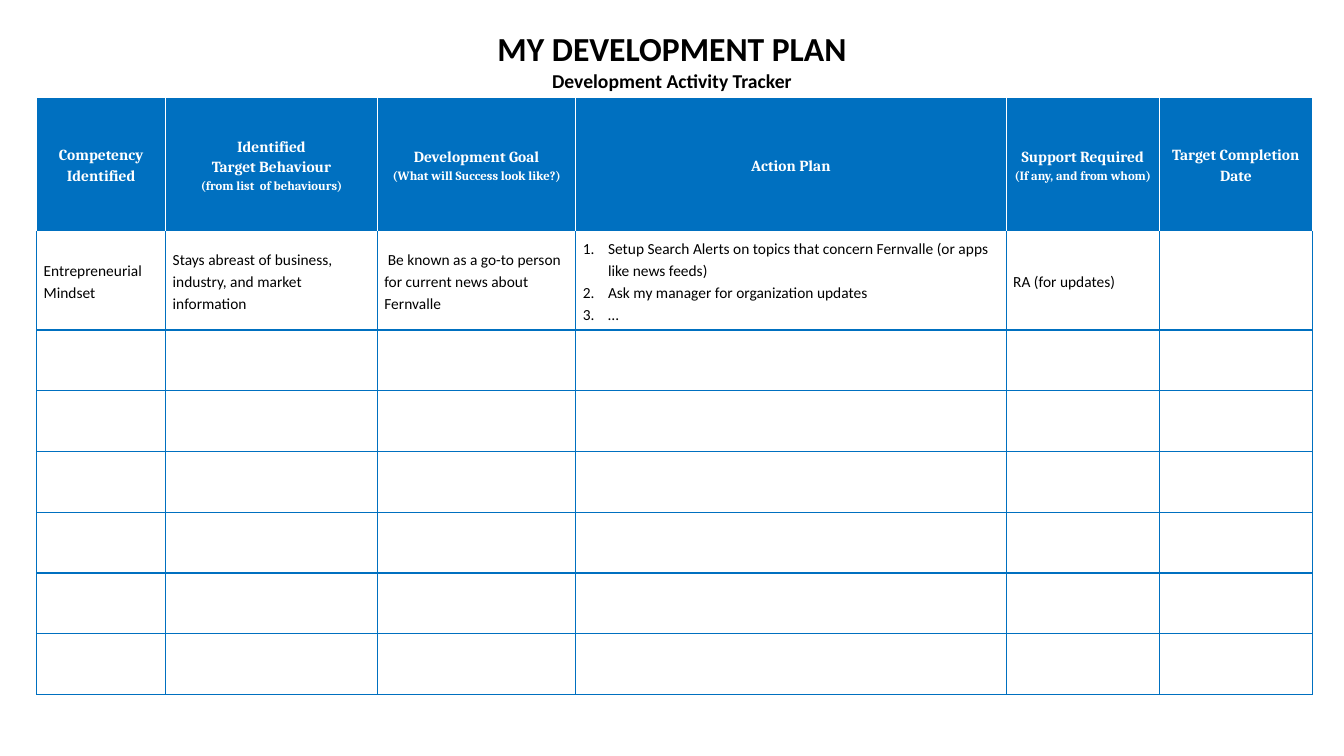
from dataclasses import dataclass

import lxml.etree
import pptx
import pptx.dml.color
import pptx.enum.text
import pptx.oxml.ns
import pptx.presentation
import pptx.slide
import pptx.table
import pptx.text.text
import pptx.util

Pt = pptx.util.Pt
Align = pptx.enum.text.PP_ALIGN

BLUE = pptx.dml.color.RGBColor(0x00, 0x70, 0xC0)
WHITE = pptx.dml.color.RGBColor(0xFF, 0xFF, 0xFF)
BLACK = pptx.dml.color.RGBColor(0x00, 0x00, 0x00)

HEADER_HEIGHT = 95.8
EXAMPLE_HEIGHT = 70.2
EMPTY_HEIGHT = 43.4
EMPTY_ROWS = 6
LIST_INDENT = 18


@dataclass(frozen=True)
class Column:
    width: float
    heading: str
    hint: str
    example: tuple[str, ...]
    numbered: bool = False


@dataclass(frozen=True)
class TextStyle:
    font: str
    color: pptx.dml.color.RGBColor
    bold: bool
    align: Align
    size: float = 11


HEADING = TextStyle("Cambria", WHITE, True, Align.CENTER)
BODY = TextStyle("Calibri", BLACK, False, Align.LEFT)
TITLE = TextStyle("Calibri", BLACK, True, Align.CENTER, 24)

COLUMNS = (
    Column(92.2, "Competency Identified", "", ("Entrepreneurial Mindset",)),
    Column(151.2, "Identified\nTarget Behaviour", "(from list  of behaviours)",
           ("Stays abreast of business, industry, and market information",)),
    Column(141.8, "Development Goal", "(What will Success look like?)",
           ("\u00a0Be known as a go-to person for current news about Fernvalle",)),
    Column(307.4, "Action Plan", "",
           ("Setup Search Alerts on topics that concern Fernvalle (or apps like news feeds)",
            "Ask my manager for organization updates",
            "\u2026"), numbered=True),
    Column(109.4, "Support Required", "(If any, and from whom)", ("RA (for updates)",)),
    Column(109.4, "Target Completion Date", "", ("",)),
)


def style_paragraph(paragraph: pptx.text.text._Paragraph, style: TextStyle) -> None:
    paragraph.alignment = style.align
    paragraph.font.name = style.font
    paragraph.font.size = Pt(style.size)
    paragraph.font.bold = style.bold
    paragraph.font.color.rgb = style.color


def write_heading(paragraph: pptx.text.text._Paragraph, heading: str, hint: str,
                  hint_size: float, style: TextStyle) -> None:
    """Write a heading with an optional smaller line below it."""
    style_paragraph(paragraph, style)
    for index, line in enumerate(heading.split("\n")):
        if index:
            paragraph.add_line_break()
        paragraph.add_run().text = line
    if hint:
        paragraph.add_line_break()
        run = paragraph.add_run()
        run.text = hint
        run.font.size = Pt(hint_size)


def number_paragraph(paragraph: pptx.text.text._Paragraph) -> None:
    properties = paragraph._p.get_or_add_pPr()
    properties.set("marL", str(Pt(LIST_INDENT)))
    properties.set("indent", str(-Pt(LIST_INDENT)))
    numbering = properties.makeelement(pptx.oxml.ns.qn("a:buAutoNum"), {"type": "arabicPeriod"})
    properties.find(pptx.oxml.ns.qn("a:defRPr")).addprevious(numbering)


def format_cell(cell: pptx.table._Cell, fill: pptx.dml.color.RGBColor,
                border: pptx.dml.color.RGBColor, top: pptx.dml.color.RGBColor) -> None:
    cell.vertical_anchor = pptx.enum.text.MSO_ANCHOR.MIDDLE
    cell.margin_left = cell.margin_right = Pt(5)
    cell.margin_top = cell.margin_bottom = Pt(0)
    properties = cell._tc.get_or_add_tcPr()
    for side, color in (("L", border), ("R", border), ("T", top), ("B", border)):
        line = lxml.etree.SubElement(properties, pptx.oxml.ns.qn(f"a:ln{side}"), w=str(Pt(1)))
        solid = lxml.etree.SubElement(line, pptx.oxml.ns.qn("a:solidFill"))
        lxml.etree.SubElement(solid, pptx.oxml.ns.qn("a:srgbClr"), val=str(color))
    cell.fill.solid()
    cell.fill.fore_color.rgb = fill


def write_example(cell: pptx.table._Cell, column: Column) -> None:
    cell.text = "\n".join(column.example)
    for paragraph in cell.text_frame.paragraphs:
        style_paragraph(paragraph, BODY)
        paragraph.line_spacing = 1.15
        if column.numbered:
            number_paragraph(paragraph)


def add_title(slide: pptx.slide.Slide) -> None:
    box = slide.shapes.add_textbox(Pt(0), Pt(16.6), Pt(960), Pt(53.3))
    box.text_frame.word_wrap = True
    write_heading(box.text_frame.paragraphs[0], "MY DEVELOPMENT PLAN",
                  "Development Activity Tracker", 14, TITLE)


def add_tracker(slide: pptx.slide.Slide) -> None:
    heights = [HEADER_HEIGHT, EXAMPLE_HEIGHT] + [EMPTY_HEIGHT] * EMPTY_ROWS
    width = sum(column.width for column in COLUMNS)
    table = slide.shapes.add_table(len(heights), len(COLUMNS), Pt(26.2), Pt(69.8),
                                   Pt(width), Pt(sum(heights))).table
    table.horz_banding = False
    for row, height in zip(table.rows, heights):
        row.height = Pt(height)

    for column_index, column in enumerate(COLUMNS):
        table.columns[column_index].width = Pt(column.width)

        # Header row
        header = table.cell(0, column_index)
        format_cell(header, BLUE, WHITE, WHITE)
        paragraph = header.text_frame.paragraphs[0]
        write_heading(paragraph, column.heading, column.hint, 9, HEADING)
        paragraph.line_spacing = 1.15

        # Example row, then rows to fill in
        for row_index in range(1, len(heights)):
            top = WHITE if row_index == 1 else BLUE
            format_cell(table.cell(row_index, column_index), WHITE, BLUE, top)
        write_example(table.cell(1, column_index), column)


presentation = pptx.Presentation()
presentation.slide_width = Pt(960)
presentation.slide_height = Pt(540)
tracker_slide = presentation.slides.add_slide(presentation.slide_layouts[6])
add_title(tracker_slide)
add_tracker(tracker_slide)
presentation.save("out.pptx")
